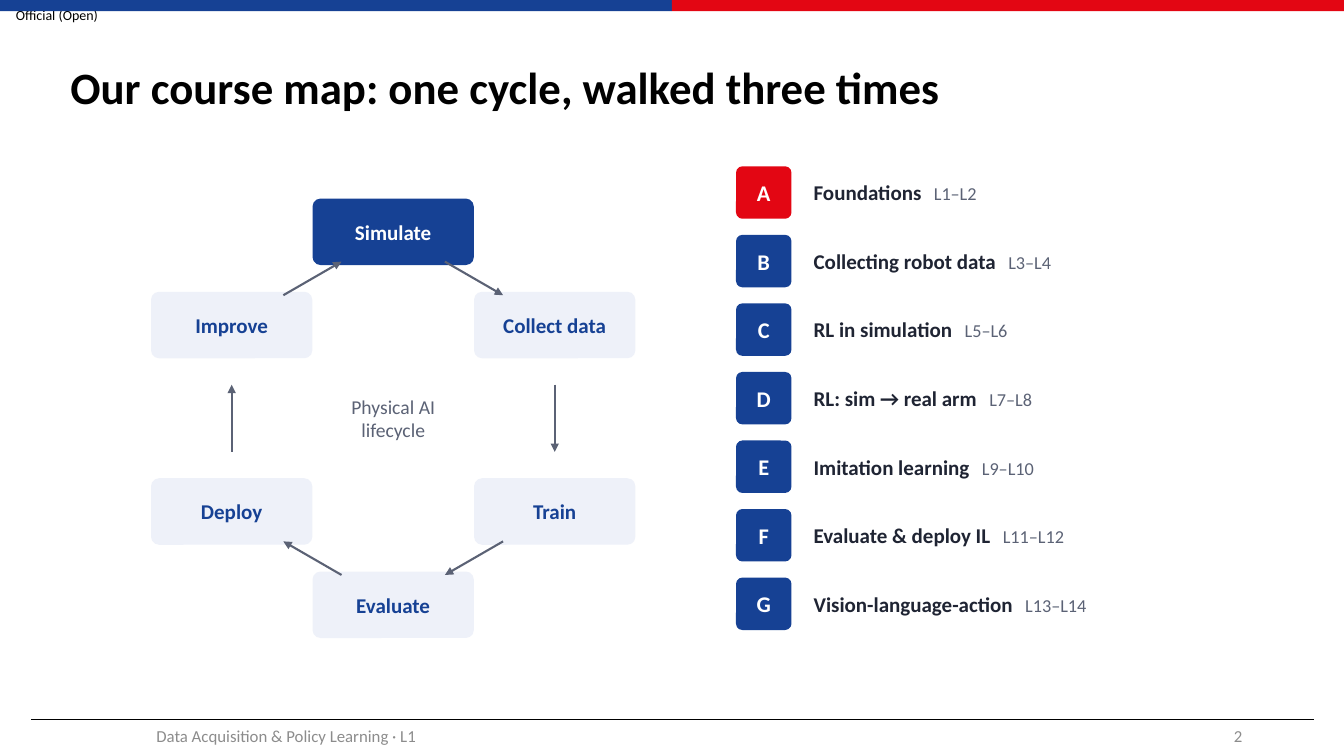
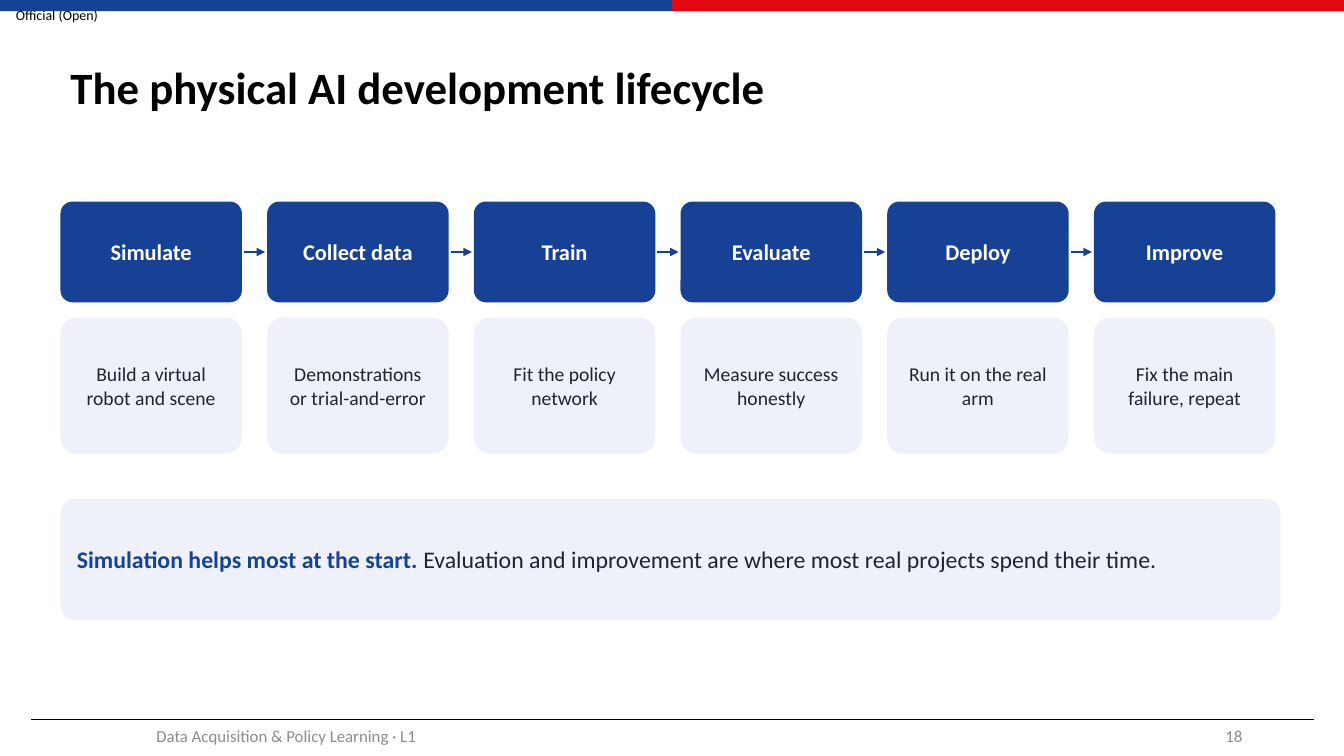
"""Build two course slides: the lifecycle map and the lifecycle steps."""
from math import cos, radians, sin

from lxml.etree import SubElement
from pptx import Presentation
from pptx.dml.color import RGBColor
from pptx.enum.shapes import MSO_CONNECTOR as Line, MSO_SHAPE as Shape
from pptx.enum.text import MSO_ANCHOR as Anchor, PP_ALIGN as Align
from pptx.oxml.ns import qn
from pptx.util import Inches, Pt

FONT = "Calibri"
BLUE, RED, PALE, WHITE = "164194", "E30613", "EEF1F9", "FFFFFF"
INK, SLATE, GREY, BLACK = "1F2433", "5B6275", "8C8C8C", "000000"
WIDE, HIGH = 13.33, 7.5
PAD, NONE, PLAIN = (0.12, 0.06), (0, 0), (0.1, 0.05)

MARK = "Official (Open)"
FOOT = "Data Acquisition & Policy Learning · L1"
TITLES = {
    2: "Our course map: one cycle, walked three times",
    18: "The physical AI development lifecycle",
}
STEPS = [
    ("Simulate", "Build a virtual robot and scene"),
    ("Collect data", "Demonstrations or trial-and-error"),
    ("Train", "Fit the policy network"),
    ("Evaluate", "Measure success honestly"),
    ("Deploy", "Run it on the real arm"),
    ("Improve", "Fix the main failure, repeat"),
]
HUB = ["Physical AI", "lifecycle"]
UNITS = [
    ("A", "Foundations", "L1–L2"),
    ("B", "Collecting robot data", "L3–L4"),
    ("C", "RL in simulation", "L5–L6"),
    ("D", "RL: sim → real arm", "L7–L8"),
    ("E", "Imitation learning", "L9–L10"),
    ("F", "Evaluate & deploy IL", "L11–L12"),
    ("G", "Vision-language-action", "L13–L14"),
]
CLAIM = "Simulation helps most at the start. "
REASON = "Evaluation and improvement are where most real projects spend their time."


def rgb(code):
    return RGBColor.from_string(code)


def style(font, size, color, bold=False):
    font.name, font.size, font.bold = FONT, Pt(size), bold
    font.color.rgb = rgb(color)


def frame(shape, pad):
    text = shape.text_frame
    text.word_wrap = True
    text.vertical_anchor = Anchor.MIDDLE
    text.margin_left = text.margin_right = Inches(pad[0])
    text.margin_top = text.margin_bottom = Inches(pad[1])
    return text


def write(shape, lines, size, color, bold=False, align=Align.CENTER, pad=PAD):
    text = frame(shape, pad)
    text.text = "\n".join(lines)
    for para in text.paragraphs:
        para.alignment = align
        style(para.font, size, color, bold)
    return text.paragraphs[0]


def mix(shape, runs):
    para = frame(shape, PAD).paragraphs[0]
    para.alignment = Align.LEFT
    for words, *look in runs:
        run = para.add_run()
        run.text = words
        style(run.font, *look)
    return para


def box(slide, *at):
    return slide.shapes.add_textbox(*map(Inches, at))


def block(slide, at, fill, kind=Shape.ROUNDED_RECTANGLE):
    shape = slide.shapes.add_shape(kind, *map(Inches, at))
    shape.shadow.inherit = False
    shape.fill.solid()
    shape.fill.fore_color.rgb = rgb(fill)
    shape.line.fill.background()
    if kind == Shape.ROUNDED_RECTANGLE:
        shape.adjustments[0] = 0.12
    return shape


def rule(slide, start, end, color, width, arrow=True):
    line = slide.shapes.add_connector(Line.STRAIGHT, *map(Inches, (*start, *end)))
    line.line.color.rgb = rgb(color)
    line.line.width = Pt(width)
    if arrow:
        SubElement(line.line._get_or_add_ln(), qn("a:tailEnd"), type="triangle")
    SubElement(line._element.spPr, qn("a:effectLst"))


def page(deck, number):
    slide = deck.slides.add_slide(deck.slide_layouts[6])
    write(box(slide, 0, 0, 1.13, 0.29), [MARK], 10, BLACK, pad=NONE)
    half = WIDE / 2
    for i, color in enumerate((BLUE, RED)):
        block(slide, (i * half, 0, half, 0.11), color, Shape.RECTANGLE)
    rule(slide, (0.31, 7.14), (13.03, 7.14), BLACK, 0.5, arrow=False)
    title = write(box(slide, 0.6, 0.3, 12.08, 1.18), [TITLES[number]],
                  32, BLACK, True, Align.LEFT, PLAIN)
    title.line_spacing = 0.9
    write(box(slide, 0.59, 7.1, 4.5, 0.4), [FOOT], 12, GREY, pad=PLAIN)
    write(box(slide, 9.42, 7.1, 3, 0.4), [str(number)], 12, GREY,
          align=Align.RIGHT, pad=PLAIN)
    return slide


def cycle(slide):
    mid_x, mid_y, reach = 3.9, 4.15, 1.85
    wide, high = 1.6, 0.66
    spots = []
    for i, (name, _) in enumerate(STEPS):
        turn = radians(60 * i)
        x, y = mid_x + reach * sin(turn), mid_y - reach * cos(turn)
        spots.append((x, y))
        fill, ink = (PALE, BLUE) if i else (BLUE, WHITE)
        node = block(slide, (x - wide / 2, y - high / 2, wide, high), fill)
        write(node, [name], 15, ink, True)
    for a, b in zip(spots, spots[1:] + spots[:1]):
        start, end = ([p + (q - p) * part for p, q in zip(a, b)]
                      for part in (0.32, 0.68))
        rule(slide, start, end, SLATE, 1.5)
    write(box(slide, 2.8, 3.8, 2.2, 0.7), HUB, 14, SLATE)


def units(slide):
    for i, (key, name, weeks) in enumerate(UNITS):
        top = 1.65 + 0.68 * i
        tile = block(slide, (7.3, top, 0.55, 0.52), BLUE if i else RED)
        write(tile, [key], 16, WHITE, True)
        para = mix(box(slide, 7.95, top - 0.02, 3.6, 0.56), [
            (name, 15, INK, True), (" ", 13, SLATE), (weeks, 13, SLATE)])
        para.runs[1].font._element.set("spc", "590")


def steps(slide):
    wide, gap, top = 1.8, 0.25, 2
    for i, (name, note) in enumerate(STEPS):
        left = 0.6 + i * (wide + gap)
        if i:
            rule(slide, (left - gap + 0.02, top + 0.5),
                 (left - 0.02, top + 0.5), BLUE, 2)
        write(block(slide, (left, top, wide, 1), BLUE), [name], 16, WHITE, True)
        write(block(slide, (left, top + 1.15, wide, 1.35), PALE), [note], 14, INK)
    mix(block(slide, (0.6, 4.95, 12.1, 1.2), PALE),
        [(CLAIM, 17, BLUE, True), (REASON, 17, INK)])


def main():
    deck = Presentation()
    deck.slide_width, deck.slide_height = Inches(WIDE), Inches(HIGH)
    course = page(deck, 2)
    cycle(course)
    units(course)
    steps(page(deck, 18))
    deck.save("out.pptx")


if __name__ == "__main__":
    main()
